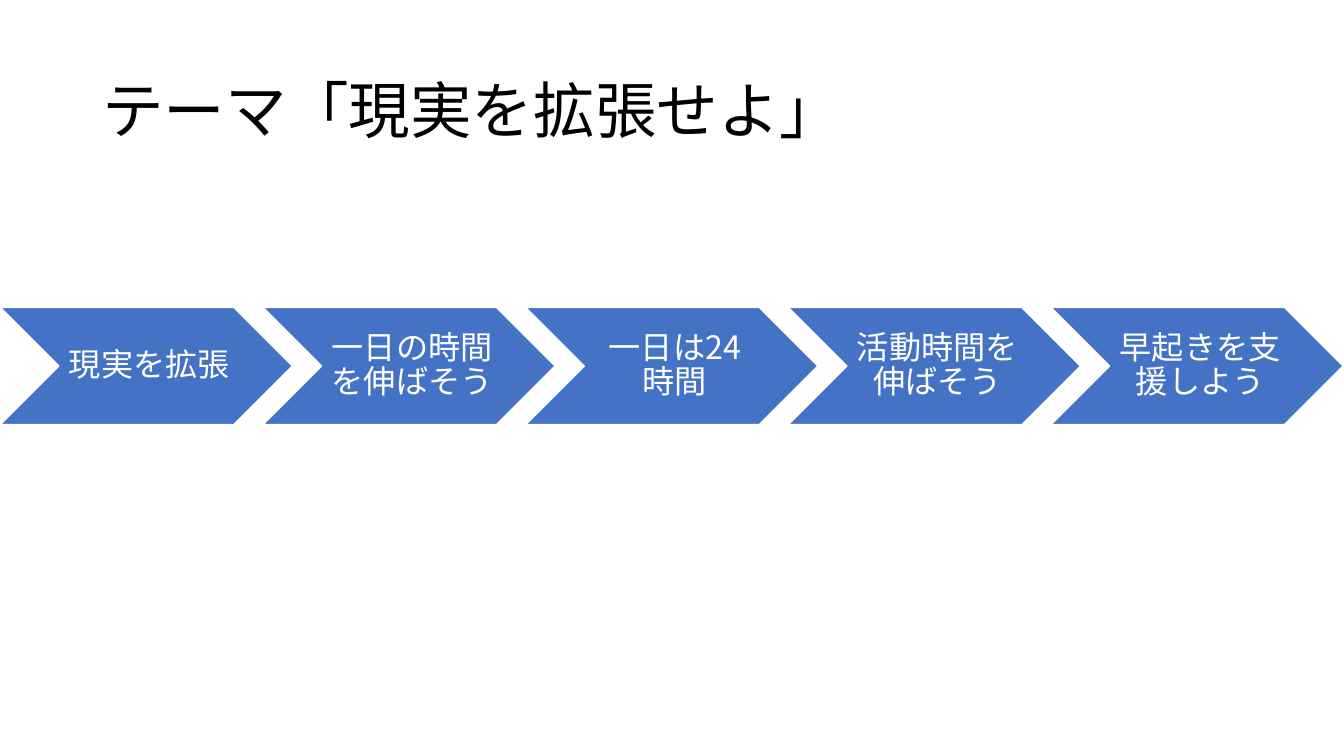
import pptx
import pptx.util
import pptx.dml.color
import pptx.enum.shapes
import pptx.enum.text
import pptx.oxml.ns
import lxml.etree
from dataclasses import dataclass

Cm = pptx.util.Cm
Pt = pptx.util.Pt


@dataclass(frozen=True)
class Theme:
    font: str = "Noto Sans CJK JP"
    ink: str = "000000"
    paper: str = "FFFFFF"
    accent: str = "4472C4"
    title_size: int = 44
    step_size: int = 23


THEME = Theme()

TITLE = "テーマ「現実を拡張せよ」"
STEPS = [
    "現実を拡張",
    "一日の時間を伸ばそう",
    "一日は24時間",
    "活動時間を伸ばそう",
    "早起きを支援しよう",
]

# Chevron row, in centimetres
ROW_LEFT, ROW_TOP = 0.01, 7.75
STEP_WIDTH, STEP_HEIGHT = 7.36, 2.95
STEP_PITCH = 6.62


def rgb(value):
    return pptx.dml.color.RGBColor.from_string(value)


def write_text(frame, text, *, size, color, align, insets):
    """Fill a text frame with one formatted paragraph; insets are l, t, r, b in cm."""
    frame.word_wrap = True
    frame.auto_size = pptx.enum.text.MSO_AUTO_SIZE.NONE
    frame.vertical_anchor = pptx.enum.text.MSO_ANCHOR.MIDDLE
    (frame.margin_left, frame.margin_top,
     frame.margin_right, frame.margin_bottom) = map(Cm, insets)
    paragraph = frame.paragraphs[0]
    paragraph.alignment = align
    paragraph.line_spacing = 0.9
    run = paragraph.add_run()
    run.text = text
    run.font.size = Pt(size)
    run.font.color.rgb = rgb(color)
    run.font.name = THEME.font
    # Japanese glyphs take the East Asian typeface
    east_asian = lxml.etree.SubElement(
        run.font._element, pptx.oxml.ns.qn("a:ea"))
    east_asian.set("typeface", THEME.font)


def add_title(slide, text):
    title = slide.shapes.title
    title.left, title.top = Cm(2.33), Cm(1.01)
    title.width, title.height = Cm(29.21), Cm(3.68)
    write_text(title.text_frame, text, size=THEME.title_size, color=THEME.ink,
               align=pptx.enum.text.PP_ALIGN.LEFT,
               insets=(0.25, 0.13, 0.25, 0.13))


def add_step(slide, index, text):
    step = slide.shapes.add_shape(
        pptx.enum.shapes.MSO_SHAPE.CHEVRON,
        Cm(ROW_LEFT + index * STEP_PITCH), Cm(ROW_TOP),
        Cm(STEP_WIDTH), Cm(STEP_HEIGHT))
    step.shadow.inherit = False
    step.fill.solid()
    step.fill.fore_color.rgb = rgb(THEME.accent)
    step.line.color.rgb = rgb(THEME.paper)
    step.line.width = Pt(1)
    write_text(step.text_frame, text, size=THEME.step_size, color=THEME.paper,
               align=pptx.enum.text.PP_ALIGN.CENTER,
               insets=(0.24, 0.08, 0.08, 0.08))


def main():
    deck = pptx.Presentation()
    deck.slide_width, deck.slide_height = Cm(33.87), Cm(19.05)
    slide = deck.slides.add_slide(deck.slide_layouts.get_by_name("Title Only"))

    # Theme of the project
    add_title(slide, TITLE)

    # Chain of ideas
    for index, text in enumerate(STEPS):
        add_step(slide, index, text)

    deck.save("out.pptx")


main()
